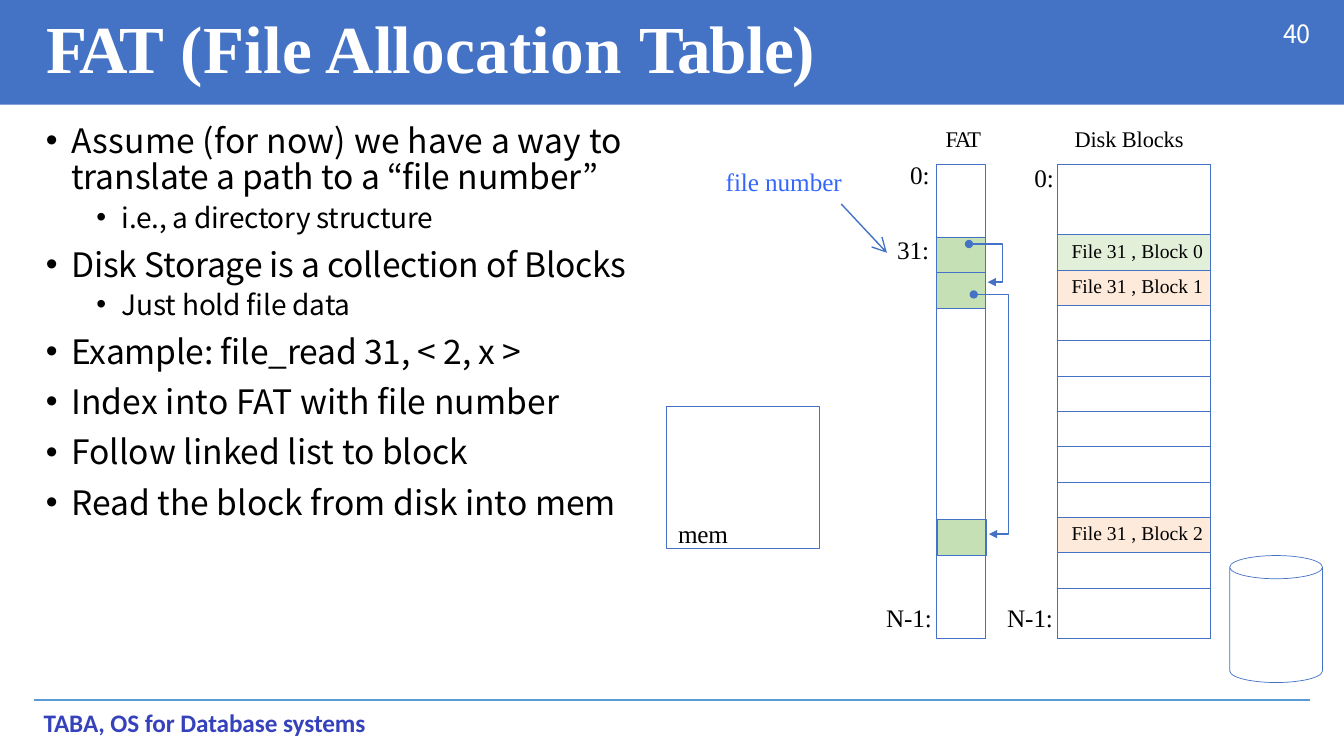
from lxml.etree import SubElement
from pptx import Presentation
from pptx.dml.color import RGBColor
from pptx.enum.shapes import MSO_CONNECTOR, MSO_SHAPE
from pptx.enum.text import MSO_ANCHOR, PP_ALIGN
from pptx.oxml.ns import qn
from pptx.util import Cm, Pt

COLORS = {
    "blue": "4472C4", "rule": "5B9BD5", "white": "FFFFFF", "black": "000000",
    "link": "3366FF", "footer": "3542BC", "fat": "C5E0B4",
    "green": "E2F0D9", "orange": "FDEADA",
}
SERIF, SANS = "Times New Roman", "Noto Sans CJK KR"

BULLETS = [
    (0, 0, [("Assume (for now) we have a way to ", 0.15),
            ("translate a path to a “file number”", -0.08)]),
    (1, 3, [("i.e., a directory structure", -0.2)]),
    (0, 7, [("Disk Storage is a collection of Blocks", -0.18)]),
    (1, 2, [("Just hold file data", -0.15)]),
    (0, 7, [("Example: file_read 31, < 2, x >", -0.1)]),
    (0, 7.2, [("Index into FAT with file number", 0.12)]),
    (0, 7.2, [("Follow linked list to block", 0.03)]),
    (0, 7.2, [("Read the block from disk into mem", 0)]),
]
LABELS = [
    ("Disk Blocks", 27.05, 3.12, 3.2, 16, "black"),
    ("FAT", 23.8, 3.12, 1.6, 16, "black"),
    ("0:", 22.91, 3.99, 0.8, 18, "black"),
    ("31:", 22.58, 5.87, 1.2, 18, "black"),
    ("N-1:", 22.3, 15.14, 1.6, 18, "black"),
    ("0:", 26.04, 4.06, 0.8, 18, "black"),
    ("N-1:", 25.35, 15.14, 1.6, 18, "black"),
    ("file number", 18.26, 4.17, 3.4, 18, "link"),
]
DISK_ROWS = [1.78] + [0.89] * 10 + [1.27]
FILE_BLOCKS = {1: ("File 31 , Block 0", "green"),
               2: ("File 31 , Block 1", "orange"),
               9: ("File 31 , Block 2", "orange")}


def rgb(name):
    return RGBColor.from_string(COLORS[name])


def add_runs(p, runs, size, font, color, bold=False):
    for text, spacing in runs:
        r = p.add_run()
        r.text = text
        r.font.size = Pt(size)
        r.font.name = font
        r.font.bold = bold
        r.font.color.rgb = rgb(color)
        if spacing:
            r._r.get_or_add_rPr().set("spc", str(round(spacing * 100)))


def set_margins(target, left=0, top=0, right=0):
    target.margin_left, target.margin_top = Cm(left), Cm(top)
    target.margin_right, target.margin_bottom = Cm(right), 0


def add_text(s, x, y, w, h, runs, size, font, color, bold=False):
    tf = s.shapes.add_textbox(Cm(x), Cm(y), Cm(w), Cm(h)).text_frame
    tf.word_wrap = True
    set_margins(tf, 0.03, 0.03)
    add_runs(tf.paragraphs[0], runs, size, font, color, bold)


def add_box(s, kind, x, y, w, h, fill=None, line="blue"):
    sp = s.shapes.add_shape(kind, Cm(x), Cm(y), Cm(w), Cm(h))
    sp.shadow.inherit = False
    if fill:
        sp.fill.solid()
        sp.fill.fore_color.rgb = rgb(fill)
    else:
        sp.fill.background()
    if line:
        sp.line.color.rgb = rgb(line)
        sp.line.width = Pt(0.5)
    else:
        sp.line.fill.background()
    return sp


def add_ends(sp, size, **ends):
    ln = sp.line._get_or_add_ln()
    for tag, kind in ends.items():
        SubElement(ln, qn(f"a:{tag}"), type=kind, w=size, len=size)


def add_line(s, x1, y1, x2, y2, color, width):
    c = s.shapes.add_connector(MSO_CONNECTOR.STRAIGHT, Cm(x1), Cm(y1), Cm(x2), Cm(y2))
    c.line.color.rgb = rgb(color)
    c.line.width = Pt(width)
    SubElement(c._element.spPr, qn("a:effectLst"))
    return c


def add_chain_link(s, x, y, bend_x, end_x, end_y):
    builder = s.shapes.build_freeform(Cm(x), Cm(y))
    corners = [(bend_x, y), (bend_x, end_y), (end_x, end_y)]
    builder.add_line_segments([(Cm(a), Cm(b)) for a, b in corners], close=False)
    sp = builder.convert_to_shape()
    sp.shadow.inherit = False
    sp.fill.background()
    sp.line.color.rgb = rgb("blue")
    sp.line.width = Pt(1.1)
    add_ends(sp, "med", headEnd="oval", tailEnd="triangle")


def add_bullets(s):
    tf = s.shapes.add_textbox(Cm(1.14), Cm(2.97), Cm(14.9), Cm(10.24)).text_frame
    tf.word_wrap = True
    set_margins(tf, top=0.15)
    for i, (level, before, runs) in enumerate(BULLETS):
        p = tf.add_paragraph() if i else tf.paragraphs[0]
        p.level = level
        pPr = p._p.get_or_add_pPr()
        pPr.set("marL", str(Cm(0.66 + 1.27 * level)))
        pPr.set("indent", str(Cm(-0.64)))
        SubElement(pPr, qn("a:buFont"), typeface="Arial")
        SubElement(pPr, qn("a:buChar"), char="•")
        p.space_before = Pt(before)
        if i == 0:
            p.line_spacing = Pt(25.9)
        add_runs(p, runs, 20 if level else 24, SANS, "black")


def set_borders(cell):
    tcPr = cell._tc.get_or_add_tcPr()
    for i, tag in enumerate(("lnL", "lnR", "lnT", "lnB")):
        ln = tcPr.makeelement(qn(f"a:{tag}"), {"w": str(Pt(0.75))})
        SubElement(SubElement(ln, qn("a:solidFill")), qn("a:srgbClr"), val=COLORS["blue"])
        tcPr.insert(i, ln)


def add_disk_table(s):
    frame = s.shapes.add_table(len(DISK_ROWS), 1, Cm(26.64), Cm(4.14),
                               Cm(3.86), Cm(sum(DISK_ROWS)))
    table = frame.table
    table.first_row = table.horz_banding = False
    for i, height in enumerate(DISK_ROWS):
        table.rows[i].height = Cm(height)
        cell = table.cell(i, 0)
        if i in FILE_BLOCKS:
            text, fill = FILE_BLOCKS[i]
            set_margins(cell, top=0.15, right=0.18)
            cell.fill.solid()
            cell.fill.fore_color.rgb = rgb(fill)
            p = cell.text_frame.paragraphs[0]
            p.alignment = PP_ALIGN.RIGHT
            add_runs(p, [(text, 0)], 14, SERIF, "black")
        else:
            set_margins(cell)
            cell.fill.background()
        set_borders(cell)


def add_fat(s):
    for x, y in ((23.59, 5.97), (23.59, 6.87), (23.62, 13.1)):
        add_box(s, MSO_SHAPE.RECTANGLE, x, y, 1.24, 0.9, fill="fat")
    add_box(s, MSO_SHAPE.RECTANGLE, 23.59, 4.14, 1.24, 11.96)
    add_chain_link(s, 24.42, 6.15, 25.27, 24.89, 7.11)
    add_chain_link(s, 24.54, 7.42, 25.42, 24.92, 13.46)


def add_memory(s):
    sp = add_box(s, MSO_SHAPE.RECTANGLE, 16.79, 10.24, 3.86, 3.58)
    tf = sp.text_frame
    set_margins(tf, left=0.3)
    tf.vertical_anchor = MSO_ANCHOR.BOTTOM
    p = tf.paragraphs[0]
    p.alignment = PP_ALIGN.LEFT
    add_runs(p, [("mem", -0.2)], 18, SERIF, "black")


def main():
    prs = Presentation()
    prs.slide_width, prs.slide_height = Cm(33.87), Cm(19.05)
    s = prs.slides.add_slide(prs.slide_layouts[6])

    add_line(s, 0.86, 17.63, 33.02, 17.63, "rule", 1.5)
    add_box(s, MSO_SHAPE.RECTANGLE, 0, 0, 33.87, 2.64, fill="blue", line=None)
    add_text(s, 32.31, 0.43, 1.1, 0.84, [("40", -0.2)], 18, SANS, "white")
    title = [("FAT", -2.4), (" (File Allocation ", 0.15), ("Table)", -0.7)]
    add_text(s, 1.14, 0.13, 29.8, 2.1, title, 48, SERIF, "white", bold=True)
    add_bullets(s)
    add_fat(s)
    add_disk_table(s)
    for text, x, y, w, size, color in LABELS:
        spacing = -0.9 if text == "FAT" else -0.05
        add_text(s, x, y, w, 0.8, [(text, spacing)], size, SERIF, color)
    pointer = add_line(s, 21.2, 5.14, 22.35, 6.37, "blue", 1)
    add_ends(pointer, "lg", tailEnd="arrow")
    add_memory(s)
    add_box(s, MSO_SHAPE.CAN, 30.99, 14, 2.34, 3.2)
    add_text(s, 1.07, 17.8, 9, 0.84, [("TABA, OS for Database systems", -0.05)],
             18, "Calibri", "footer", bold=True)
    prs.save("out.pptx")


if __name__ == "__main__":
    main()
